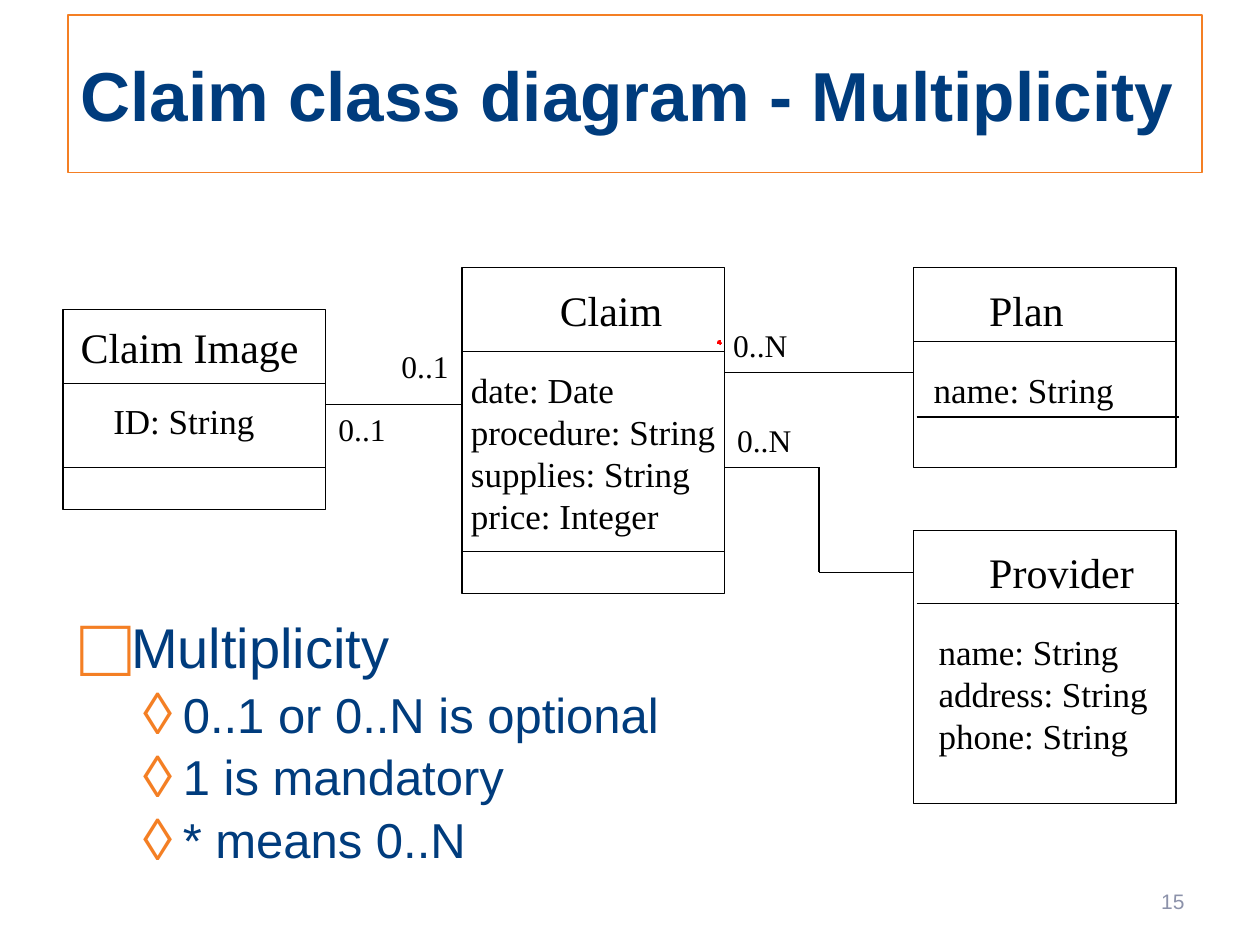
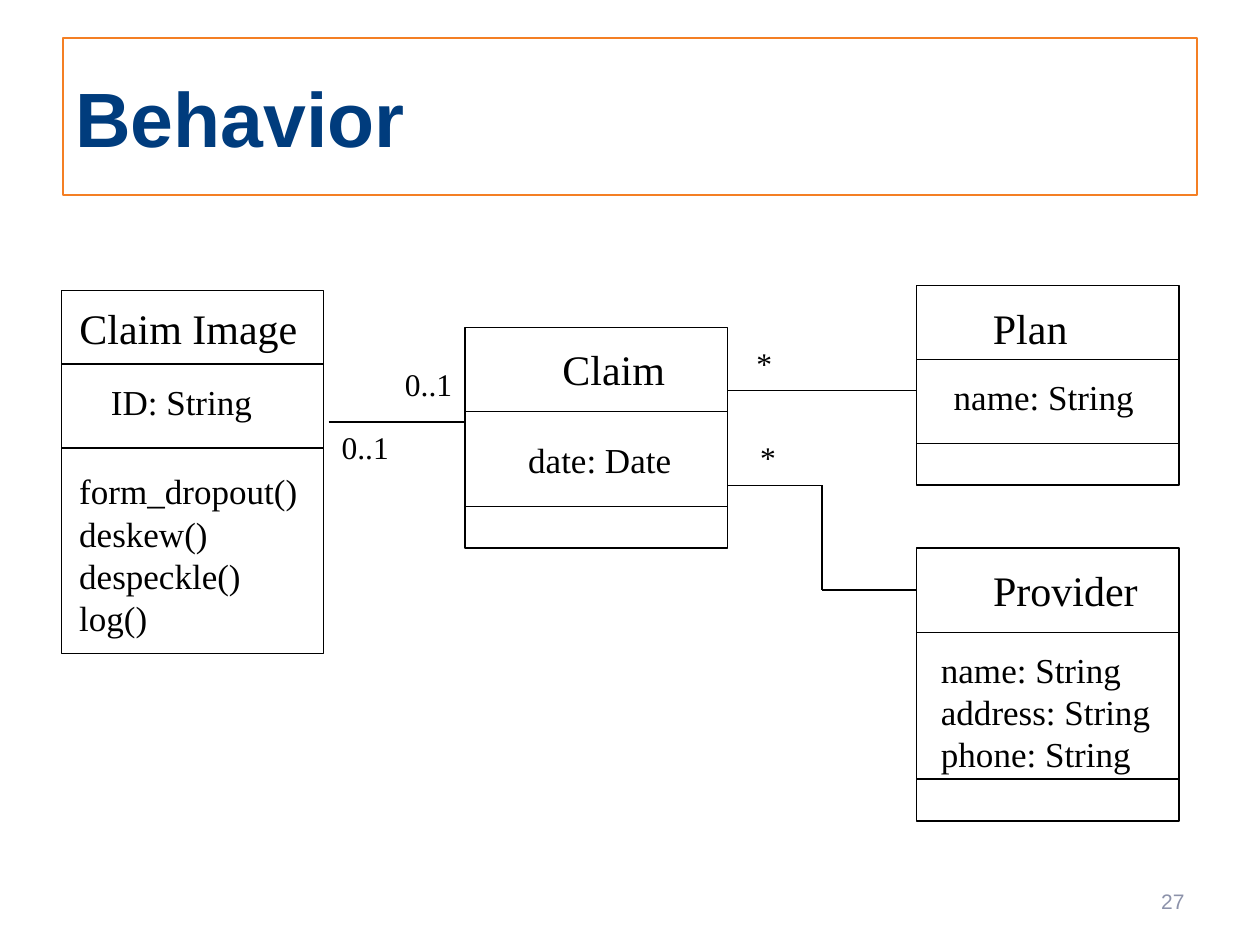
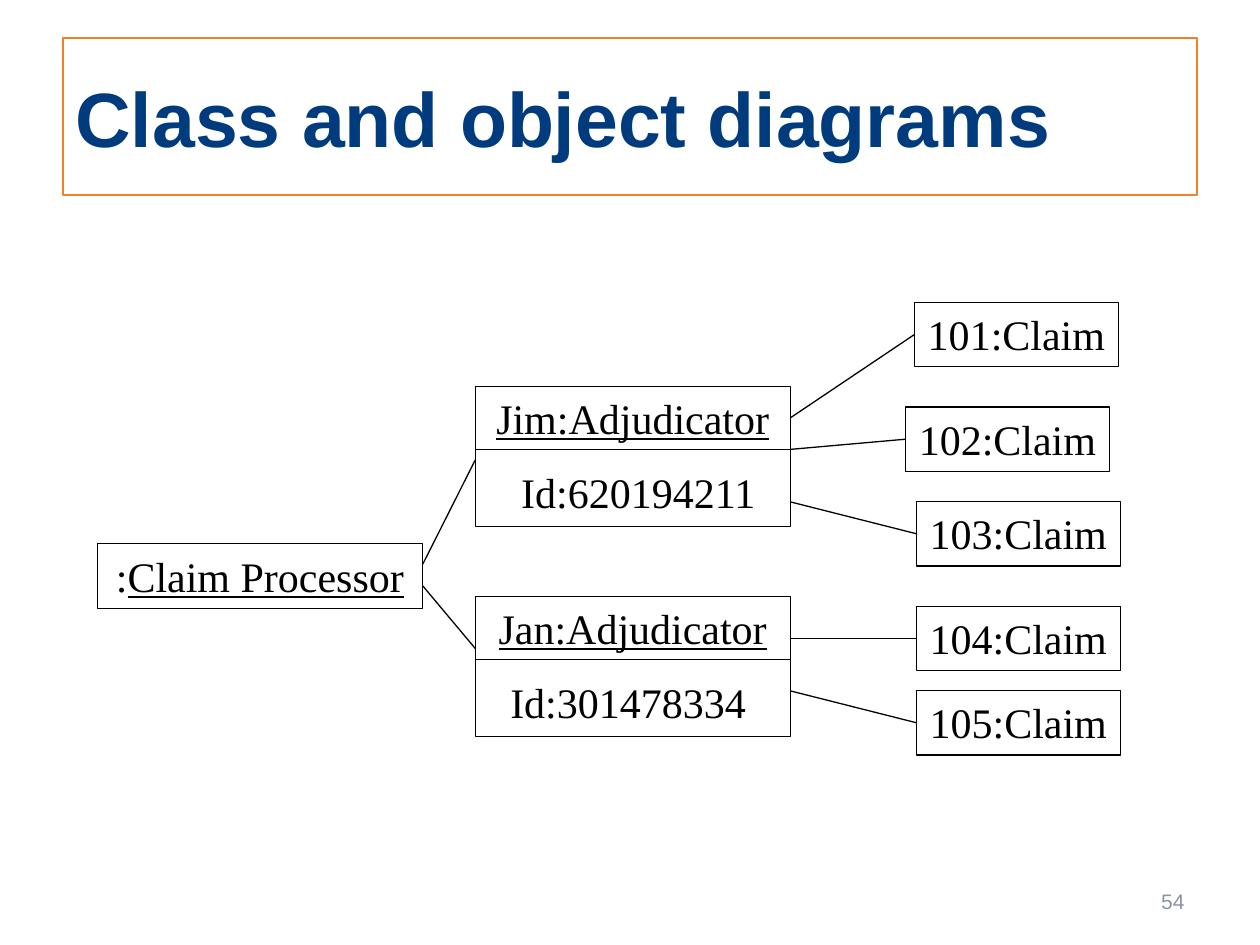
"""Build three slides of UML class and object diagrams for claim processing."""
from lxml.etree import SubElement
from pptx import Presentation
from pptx.dml.color import RGBColor
from pptx.enum.shapes import MSO_CONNECTOR, MSO_SHAPE
from pptx.enum.text import MSO_ANCHOR, MSO_AUTO_SIZE, PP_ALIGN
from pptx.oxml.ns import qn
from pptx.util import Pt

NAVY = RGBColor(0x00, 0x3C, 0x7D)
ORANGE = RGBColor(0xF4, 0x7F, 0x24)
GREY = RGBColor(0x8C, 0x92, 0xAA)
BLACK = RGBColor(0, 0, 0)
RED = RGBColor(0xFF, 0, 0)
SANS, SERIF = "Arial", "Times New Roman"

CLASS_W = 150
PERSON = ["name: String", "address: String", "phone: String"]

MULTIPLICITY = {
    "classes": [
        {"box": (36, 177, 114), "rules": [(219, 0), (267, 0)],
         "texts": [(38.9, 180, 139, 24, ["Claim Image"]),
                   (57.6, 224.6, 95, 20, ["ID: String"])]},
        {"box": (264, 153, 186), "rules": [(201, 0), (315, 0)],
         "texts": [(312.5, 159, 73.4, 24, ["Claim"]),
                   (262, 207, 154, 20, ["date: Date", "procedure: String",
                                        "supplies: String", "price: Integer"])]},
        {"box": (522, 153, 114), "rules": [(195, 0), (238.3, 1.75)],
         "texts": [(558, 159, 57, 24, ["Plan"]),
                   (526.3, 207, 117.4, 20, ["name: String"])]},
        {"box": (522, 303, 156), "rules": [(345, 1.75)],
         "texts": [(558, 309, 97.2, 24, ["Provider"]),
                   (529.2, 357, 134, 20, PERSON)]},
    ],
    "links": [[(186, 231), (264, 231)], [(414, 213), (522, 213)],
              [(414, 267), (468, 267), (468, 327), (522, 327)]],
    "labels": [(186, 231, 41.8, "0..1"), (414, 237, 45.4, "0..N"),
               (222, 195, 41.8, "0..1"), (411.8, 183, 45.4, "0..N")],
}
BEHAVIOR = {
    "classes": [
        {"box": (35.1, 166.2, 207.2), "rules": [(208, 0), (256, 0)],
         "texts": [(38.2, 169.2, 139, 24, ["Claim Image"]),
                   (56.2, 213.8, 95, 20, ["ID: String"]),
                   (38.2, 265, 139, 20, ["form_dropout()", "deskew()",
                                         "despeckle()", "log()"])]},
        {"box": (265.8, 187.2, 126), "rules": [(235.3, 0), (289.3, 0)],
         "texts": [(314, 193, 73.4, 24, ["Claim"]),
                   (294.5, 247, 96.5, 20, ["date: Date"])]},
        {"box": (523.8, 163.2, 114), "rules": [(205.3, 0), (253.3, 0)],
         "texts": [(560.2, 169.2, 57, 24, ["Plan"]),
                   (537.8, 211, 117.4, 20, ["name: String"])]},
        {"box": (523.8, 313.2, 156), "rules": [(361.3, 0), (445.2, 0)],
         "texts": [(560.2, 319.2, 97.2, 24, ["Provider"]),
                   (530.6, 367.2, 134, 20, PERSON)]},
    ],
    "links": [[(187.8, 241.2), (265.8, 241.2)], [(415.8, 223.2), (523.8, 223.2)],
              [(415.8, 277.3), (469.8, 277.3), (469.8, 337.2), (523.8, 337.2)]],
    "labels": [(187.8, 241.2, 41.8, "0..1"), (224, 205.2, 41.8, "0..1"),
               (424.8, 193, 23.8, "*"), (427, 247, 23.8, "*")],
}
BULLETS = [(0, "Multiplicity"), (1, "0..1 or 0..N is optional"),
           (1, "1 is mandatory"), (1, "* means 0..N")]
BULLET_STYLES = [{"char": "□", "pct": 150, "size": 32, "left": 27, "hang": 27},
                 {"char": "◊", "pct": 120, "size": 28, "left": 58.5, "hang": 22.5}]

PROCESSOR = (55.6, 310.8, 186, 36.8)
ADJ_X, ADJ_W, ADJ_H = 271.6, 180, 80
ADJUDICATORS = [
    {"top": 220.8, "name": "Jim:Adjudicator", "id": "Id:620194211",
     "id_at": (283.7, 263), "from_y": 322.4, "to_y": 262.8},
    {"top": 340.8, "name": "Jan:Adjudicator", "id": "Id:301478334",
     "id_at": (277.9, 383), "from_y": 334.8, "to_y": 370.6},
]
CLAIM_W, CLAIM_H = 116.6, 36.8
CLAIMS = [("101:Claim", 522.5, 172.8, 238.8), ("102:Claim", 517.4, 232.6, 256.8),
          ("103:Claim", 523.6, 286.6, 286.8), ("104:Claim", 523.6, 346.6, 365),
          ("105:Claim", 523.6, 394.6, 394.8)]


def write(sp, lines, *, size=24, font=SERIF, color=BLACK, bold=False, underline=False,
          align=PP_ALIGN.LEFT, anchor=MSO_ANCHOR.TOP, wrap=False, prefix=""):
    tf = sp.text_frame
    tf.word_wrap, tf.vertical_anchor, tf.auto_size = wrap, anchor, MSO_AUTO_SIZE.NONE
    for i, line_text in enumerate(lines):
        p = tf.paragraphs[0] if i == 0 else tf.add_paragraph()
        p.alignment = align
        for part, under in ((prefix, False), (line_text, underline)):
            if part:
                r = p.add_run()
                r.text = part
                r.font.size, r.font.name, r.font.bold = Pt(size), font, bold
                r.font.underline = under
                r.font.color.rgb = color
    return tf


def textbox(s, x, y, w, h):
    return s.shapes.add_textbox(Pt(x), Pt(y), Pt(w), Pt(h))


def label(s, x, y, w, size, lines):
    sp = textbox(s, x, y, w, 1.2 * size * len(lines) + 7.2)
    write(sp, lines, size=size, align=PP_ALIGN.CENTER if len(lines) == 1 else PP_ALIGN.LEFT)


def outline(sp, color, width):
    sp.shadow.inherit = False
    sp.fill.background()
    sp.line.color.rgb, sp.line.width = color, Pt(width)
    return sp


def rect(s, x, y, w, h, color=BLACK, width=0.75):
    sp = s.shapes.add_shape(MSO_SHAPE.RECTANGLE, Pt(x), Pt(y), Pt(w), Pt(h))
    return outline(sp, color, width)


def line(s, start, end):
    cx = s.shapes.add_connector(MSO_CONNECTOR.STRAIGHT, *map(Pt, start + end))
    cx.line.color.rgb, cx.line.width = BLACK, Pt(0.75)
    SubElement(cx._element.spPr, qn("a:effectLst"))
    return cx


def new_slide(prs, title, number, at=(36, 21.6), size=44):
    s = prs.slides.add_slide(prs.slide_layouts[6])
    write(rect(s, *at, 648, 90, ORANGE, 1), [title], size=size, font=SANS, color=NAVY,
          bold=True, anchor=MSO_ANCHOR.MIDDLE, wrap=True)
    write(textbox(s, 516, 500.4, 168, 28.8), [str(number)], size=12, font=SANS, color=GREY,
          align=PP_ALIGN.RIGHT, anchor=MSO_ANCHOR.MIDDLE, wrap=True)
    return s


def class_diagram(s, diagram):
    for cls in diagram["classes"]:
        x, y, h = cls["box"]
        rect(s, x, y, CLASS_W, h)
        for rule_y, shift in cls["rules"]:
            line(s, (x + shift, rule_y), (x + shift + CLASS_W, rule_y))
        for text in cls["texts"]:
            label(s, *text)
    for points in diagram["links"]:
        for start, end in zip(points, points[1:]):
            line(s, start, end)
    for x, y, w, text in diagram["labels"]:
        label(s, x, y, w, 18, [text])


def bullet_list(s):
    sp = textbox(s, 38.9, 351, 402.5, 154)
    tf = write(sp, [text for _, text in BULLETS], font=SANS, color=NAVY, wrap=True)
    for p, (level, _) in zip(tf.paragraphs, BULLETS):
        style = BULLET_STYLES[level]
        p.level, p.line_spacing = level, 0.9
        p.space_before = Pt(0.2 * style["size"])
        p.runs[0].font.size = Pt(style["size"])
        pPr = p._p.get_or_add_pPr()
        pPr.set("marL", str(Pt(style["left"])))
        pPr.set("indent", str(-Pt(style["hang"])))
        SubElement(SubElement(pPr, qn("a:buClr")), qn("a:srgbClr"), val=str(ORANGE))
        SubElement(pPr, qn("a:buSzPct"), val=str(style["pct"] * 1000))
        SubElement(pPr, qn("a:buFont"), typeface=SANS)
        SubElement(pPr, qn("a:buChar"), char=style["char"])


def red_mark(s):
    fb = s.shapes.build_freeform(Pt(411.8), Pt(195.8))
    fb.add_line_segments([(Pt(411.2), Pt(195.8)), (Pt(411.2), Pt(196.5))], close=False)
    outline(fb.convert_to_shape(), RED, 3)


def object_diagram(s):
    x, y, w, h = PROCESSOR
    write(rect(s, x, y, w, h), ["Claim Processor"], prefix=":", underline=True,
          align=PP_ALIGN.CENTER, wrap=True)
    for adj in ADJUDICATORS:
        top = adj["top"]
        write(rect(s, ADJ_X, top, ADJ_W, ADJ_H), [adj["name"]], underline=True,
              align=PP_ALIGN.CENTER, wrap=True)
        line(s, (ADJ_X, top + 36), (ADJ_X + ADJ_W, top + 36))
        label(s, *adj["id_at"], 162, 24, [adj["id"]])
        line(s, (x + w, adj["from_y"]), (ADJ_X, adj["to_y"]))
    for text, left, top, from_y in CLAIMS:
        sp = rect(s, left, top, CLAIM_W, CLAIM_H)
        write(sp, [text], align=PP_ALIGN.CENTER)
        cx = line(s, (ADJ_X + ADJ_W, from_y), (left, top + CLAIM_H / 2))
        cx.end_connect(sp, 1)


def main():
    prs = Presentation()
    prs.slide_width, prs.slide_height = Pt(720), Pt(540)
    s = new_slide(prs, "Claim class diagram - Multiplicity", 15, at=(38.9, 8.6), size=39.6)
    class_diagram(s, MULTIPLICITY)
    bullet_list(s)
    red_mark(s)
    class_diagram(new_slide(prs, "Behavior", 27), BEHAVIOR)
    object_diagram(new_slide(prs, "Class and object diagrams", 54))
    prs.save("out.pptx")


if __name__ == "__main__":
    main()
